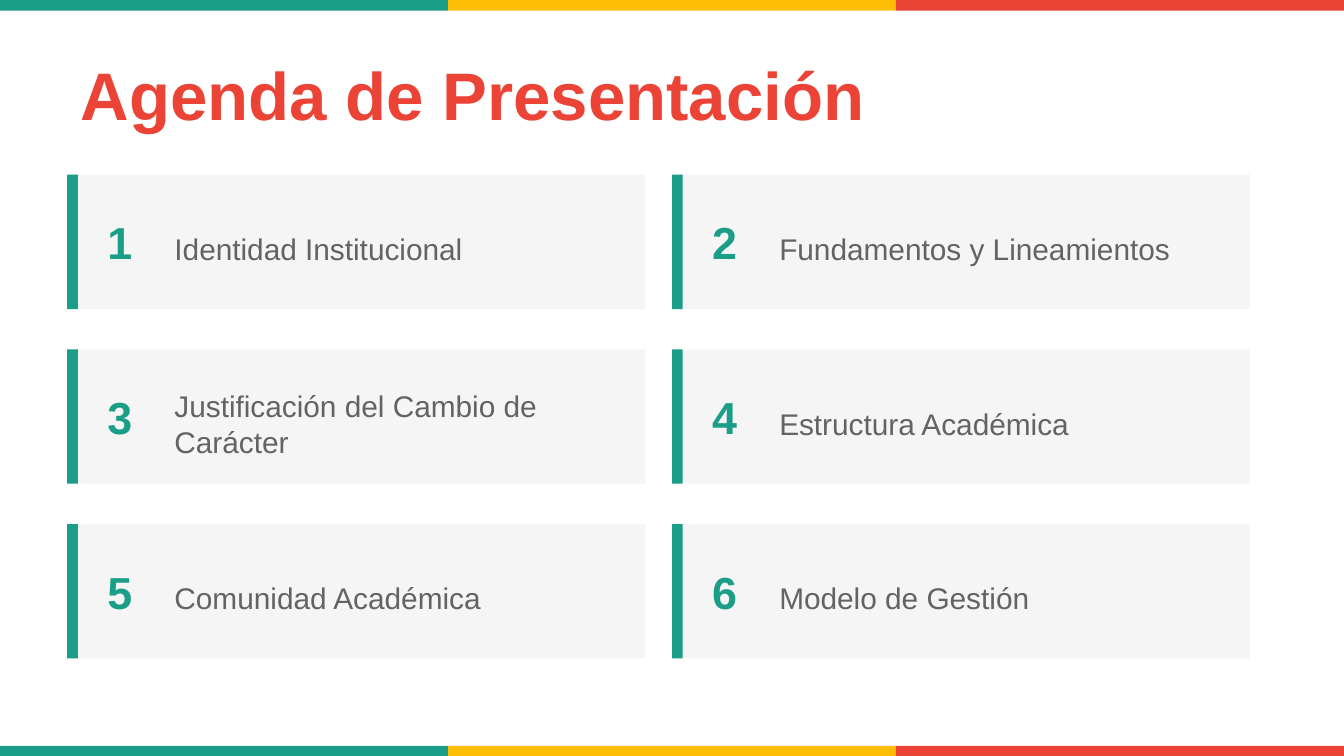
from pptx import Presentation
from pptx.dml.color import RGBColor
from pptx.enum.shapes import MSO_SHAPE as Shape
from pptx.enum.text import MSO_ANCHOR as Anchor, MSO_AUTO_SIZE as AutoSize, PP_ALIGN as Align
from pptx.util import Pt

COLORS = {"green": "1B9E88", "yellow": "FCBD05", "red": "EB4335",
          "card": "F5F5F5", "gray": "646363", "white": "FFFFFF"}
TOPICS = ["Identidad Institucional", "Fundamentos y Lineamientos",
          "Justificación del Cambio de Carácter", "Estructura Académica",
          "Comunidad Académica", "Modelo de Gestión"]

prs = Presentation()
prs.slide_width, prs.slide_height = Pt(720), Pt(405)
slide = prs.slides.add_slide(prs.slide_layouts[5])
slide.background.fill.solid()
slide.background.fill.fore_color.rgb = RGBColor.from_string(COLORS["white"])


def add_block(left, top, width, height, color):
    """Add a filled rectangle without outline or shadow."""
    block = slide.shapes.add_shape(Shape.RECTANGLE, Pt(left), Pt(top), Pt(width), Pt(height))
    block.fill.solid()
    block.fill.fore_color.rgb = RGBColor.from_string(COLORS[color])
    block.line.fill.background()
    block.shadow.inherit = False


def write(text, left, top, width, height, *, size, color, bold=False, holder=None):
    """Write left-aligned text in the given placeholder or in a new text box."""
    box = holder or slide.shapes.add_textbox(0, 0, 0, 0)
    box.left, box.top, box.width, box.height = Pt(left), Pt(top), Pt(width), Pt(height)
    frame = box.text_frame
    frame.word_wrap = True
    frame.auto_size = AutoSize.NONE
    frame.vertical_anchor = Anchor.MIDDLE
    paragraph = frame.paragraphs[0]
    paragraph.alignment = Align.LEFT
    run = paragraph.add_run()
    run.text = text
    run.font.name = "Arial"
    run.font.size = Pt(size)
    run.font.bold = bold
    run.font.color.rgb = RGBColor.from_string(COLORS[color])


# Colour bands along the top and bottom edges
for band_top in (0, 399.6):
    for i, color in enumerate(("green", "yellow", "red")):
        add_block(i * 240, band_top, 240, 5.76, color)

write("Agenda de Presentación", 36, 21.6, 648, 57.6, size=36, color="red", bold=True,
      holder=slide.shapes.title)

# Agenda cards, two per row
for i, topic in enumerate(TOPICS):
    row, column = divmod(i, 2)
    left, top = 36 + column * 324, 93.6 + row * 93.6
    add_block(left, top, 309.6, 72, "card")
    add_block(left, top, 5.76, 72, "green")
    write(str(i + 1), left + 14.4, top + 18, 36, 36, size=24, color="green", bold=True)
    write(topic, left + 50.4, top + 21.6, 244.8, 36, size=16, color="gray")

prs.save("out.pptx")
